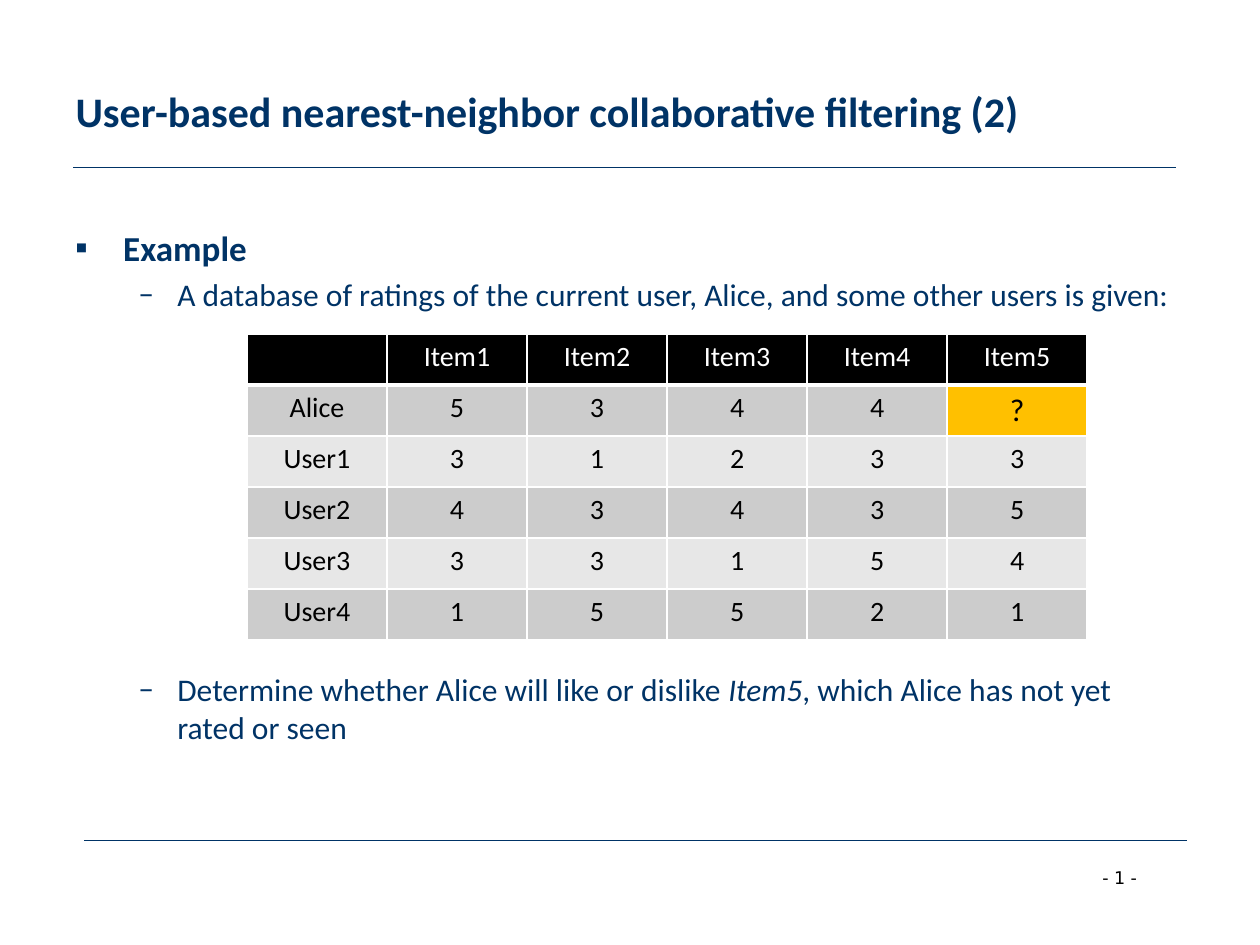
"""Build the slide with Alice's rating table for user-based collaborative filtering."""
from dataclasses import dataclass

from lxml import etree
from pptx import Presentation
from pptx.dml.color import RGBColor
from pptx.enum.shapes import MSO_CONNECTOR
from pptx.enum.text import MSO_ANCHOR, PP_ALIGN
from pptx.oxml.ns import qn
from pptx.util import Inches, Pt

STRAIGHT = MSO_CONNECTOR.STRAIGHT
MIDDLE = MSO_ANCHOR.MIDDLE
LEFT, CENTER = PP_ALIGN.LEFT, PP_ALIGN.CENTER

COLORS = {
    "navy": "003366",
    "black": "000000",
    "white": "FFFFFF",
    "dark_band": "CCCCCC",
    "light_band": "E7E7E7",
    "unknown": "FFC000",
}
FONT = "Calibri"
TITLE = "User-based nearest-neighbor collaborative filtering (2)"
RATINGS = [
    ["", "Item1", "Item2", "Item3", "Item4", "Item5"],
    ["Alice", "5", "3", "4", "4", "?"],
    ["User1", "3", "1", "2", "3", "3"],
    ["User2", "4", "3", "4", "3", "5"],
    ["User3", "3", "3", "1", "5", "4"],
    ["User4", "1", "5", "5", "2", "1"],
]


@dataclass
class Rule:
    left: float
    top: float
    width: float = 8.75


@dataclass
class Bullet:
    spans: list[tuple[str, bool]]
    symbol: str = "–"
    margin: float = 0.81
    hanging: float = 0.31
    size: int = 18
    bold: bool = False
    before: float = 0


RULES = [Rule(0.58, 1.33), Rule(0.67, 6.67)]
BULLETS = [
    Bullet([("Example", False)], "▪", 0.38, 0.38, 20, True),
    Bullet(
        [("A database of ratings of the current user, Alice, and some other users is given:", False)],
        before=3.6,
    ),
    Bullet(
        [
            ("Determine whether Alice will like or dislike ", False),
            ("Item5", True),
            (", which Alice has not yet rated or seen", False),
        ],
        before=204,
    ),
]


def color(name: str) -> RGBColor:
    """Return a named colour."""
    return RGBColor.from_string(COLORS[name])


def style(para, size: int, tint: str, bold: bool = False, name: str = FONT) -> None:
    """Set the font of a whole paragraph."""
    para.font.name = name
    para.font.size = Pt(size)
    para.font.bold = bold
    para.font.color.rgb = color(tint)


def add_title(page) -> None:
    """Place and format the title."""
    title = page.shapes.title
    title.left, title.top = Inches(0.5), Inches(0.25)
    title.width, title.height = Inches(9), Inches(1.25)
    title.text_frame.text = TITLE
    title.text_frame.vertical_anchor = MIDDLE
    para = title.text_frame.paragraphs[0]
    para.alignment = LEFT
    style(para, 24, "navy", True)


def add_rule(page, rule: Rule) -> None:
    """Draw a thin horizontal line."""
    top = Inches(rule.top)
    line = page.shapes.add_connector(
        STRAIGHT, Inches(rule.left), top, Inches(rule.left + rule.width), top
    )
    line.line.color.rgb = color("navy")
    line.line.width = Pt(0.75)
    etree.SubElement(line._element.spPr, qn("a:effectLst"))


def fill_bullet(para, bullet: Bullet) -> None:
    """Write one bulleted paragraph."""
    properties = para._p.get_or_add_pPr()
    properties.set("marL", str(Inches(bullet.margin)))
    properties.set("indent", str(-Inches(bullet.hanging)))
    etree.SubElement(properties, qn("a:buFont"), typeface=FONT)
    etree.SubElement(properties, qn("a:buChar"), char=bullet.symbol)
    if bullet.before:
        para.space_before = Pt(bullet.before)
    style(para, bullet.size, "navy", bullet.bold)
    for text, italic in bullet.spans:
        span = para.add_run()
        span.text = text
        if italic:
            span.font.italic = True


def add_bullets(page) -> None:
    """Add the body text around the table."""
    box = page.shapes.add_textbox(Inches(0.5), Inches(1.75), Inches(9), Inches(4.95))
    frame = box.text_frame
    frame.word_wrap = True
    for index, bullet in enumerate(BULLETS):
        para = frame.add_paragraph() if index else frame.paragraphs[0]
        fill_bullet(para, bullet)


def set_borders(cell, bottom: float) -> None:
    """Give a cell white borders."""
    properties = cell._tc.get_or_add_tcPr()
    for side, width in (("L", 1), ("R", 1), ("T", 1), ("B", bottom)):
        border = etree.SubElement(properties, qn(f"a:ln{side}"), w=str(Pt(width)))
        paint = etree.SubElement(border, qn("a:solidFill"))
        etree.SubElement(paint, qn("a:srgbClr"), val=COLORS["white"])


def fill_cell(cell, text: str, row: int) -> None:
    """Write and colour one table cell."""
    header, unknown = row == 0, text == "?"
    band = "dark_band" if row % 2 else "light_band"
    set_borders(cell, 3 if header else 1)
    cell.fill.solid()
    cell.fill.fore_color.rgb = color("black" if header else "unknown" if unknown else band)
    cell.text = text
    para = cell.text_frame.paragraphs[0]
    para.alignment = CENTER
    style(para, 18 if unknown else 16, "white" if header else "black")


def add_ratings(page) -> None:
    """Add the rating table."""
    table = page.shapes.add_table(
        len(RATINGS), len(RATINGS[0]), Inches(1.96), Inches(2.65), Inches(6.67), Inches(2.43)
    ).table
    for row, values in enumerate(RATINGS):
        for column, text in enumerate(values):
            fill_cell(table.cell(row, column), text, row)


def add_page_number(page) -> None:
    """Add the page number at the foot."""
    box = page.shapes.add_textbox(Inches(8.65), Inches(6.83), Inches(0.76), Inches(0.27))
    box.text_frame.word_wrap = False
    para = box.text_frame.paragraphs[0]
    para.text = "- 1 -"
    style(para, 10, "black", name="DejaVu Sans")


def main() -> None:
    """Build and save the deck."""
    deck = Presentation()
    deck.slide_width, deck.slide_height = Inches(10), Inches(7.5)
    page = deck.slides.add_slide(deck.slide_layouts[5])
    add_title(page)
    for rule in RULES:
        add_rule(page, rule)
    add_bullets(page)
    add_ratings(page)
    add_page_number(page)
    deck.save("out.pptx")


if __name__ == "__main__":
    main()
